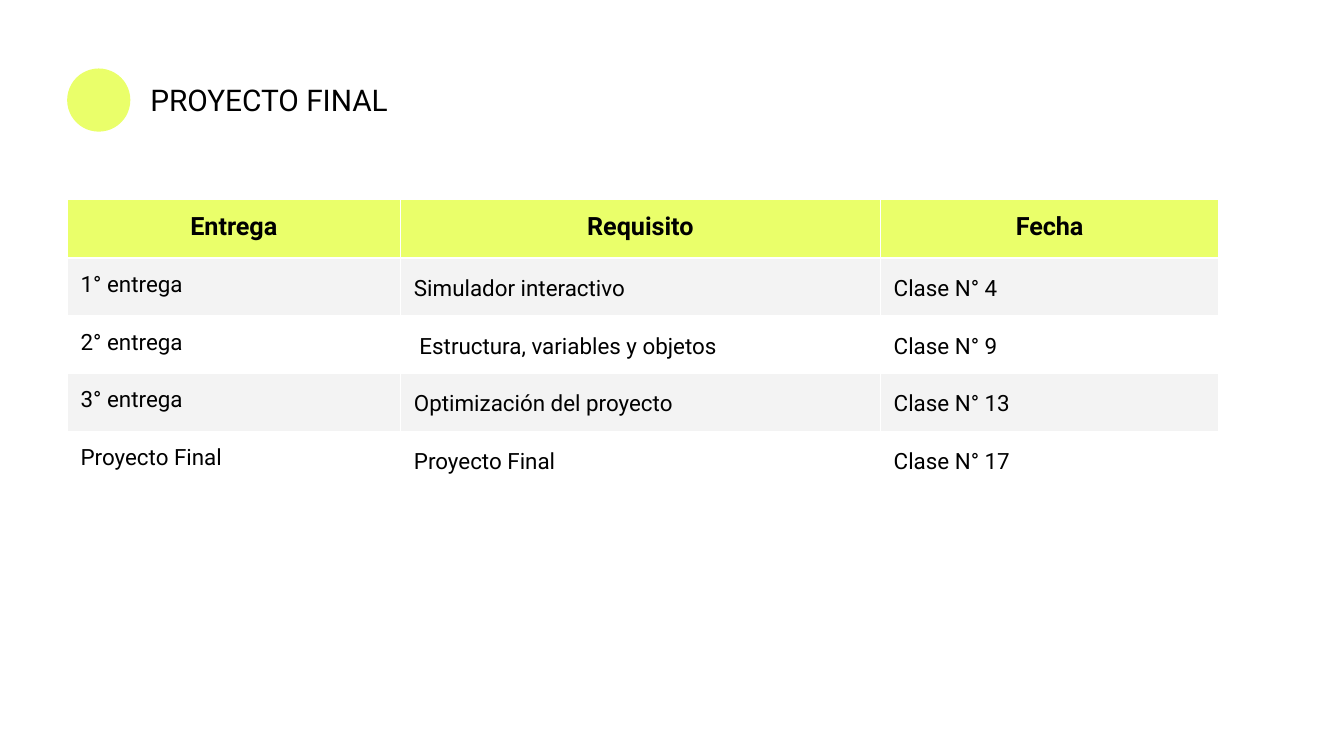
from lxml import etree
from pptx import Presentation
from pptx import util as u
from pptx.dml.color import RGBColor
from pptx.enum import shapes, text
from pptx.oxml import ns

LIME, GRAY, WHITE, BLACK = "EAFF6A", "F3F3F3", "FFFFFF", "000000"
SLIDE_WIDTH = u.Inches(10)
SLIDE_HEIGHT = SLIDE_WIDTH * 9 // 16
HEADINGS = ("Entrega", "Requisito", "Fecha")
DELIVERIES = (
    ("1° entrega", "Simulador interactivo", "Clase N° 4"),
    ("2° entrega", " Estructura, variables y objetos", "Clase N° 9"),
    ("3° entrega", "Optimización del proyecto", "Clase N° 13"),
    ("Proyecto Final", "Proyecto Final", "Clase N° 17"),
)
COLUMN_WIDTHS = (2.48, 3.57, 2.52)
ROW_HEIGHTS = (0.44, 0.42, 0.43, 0.43, 0.43)


def color(hex_value):
    return RGBColor.from_string(hex_value)


def paint(target, hex_value):
    target.fill.solid()
    target.fill.fore_color.rgb = color(hex_value)


def apply(target, values):
    for name, value in values.items():
        setattr(target, name, value)


def margins():
    return {"margin_" + side: u.Inches(0.1) for side in ("left", "top", "right", "bottom")}


def write(paragraph, wording, size, bold=False, **layout):
    run = paragraph.add_run()
    run.text = wording
    apply(run.font, {"name": "Roboto", "size": u.Pt(size), "bold": bold})
    run.font.color.rgb = color(BLACK)
    apply(paragraph, layout)


def add_title(slide, wording):
    title = slide.shapes.add_textbox(u.Inches(1.02), u.Inches(0.51), u.Inches(2.69), u.Inches(0.47))
    apply(title.text_frame, {
        **margins(),
        "word_wrap": True,
        "auto_size": text.MSO_AUTO_SIZE.SHAPE_TO_FIT_TEXT,
    })
    write(title.text_frame.paragraphs[0], wording, 16)


def add_dot(slide):
    diameter = u.Inches(0.47)
    dot = slide.shapes.add_shape(shapes.MSO_SHAPE.OVAL, u.Inches(0.5), u.Inches(0.51), diameter, diameter)
    dot.shadow.inherit = False
    paint(dot, LIME)
    dot.line.fill.background()


def add_borders(cell):
    properties = cell._tc.get_or_add_tcPr()
    for edge in ("a:lnL", "a:lnR", "a:lnT", "a:lnB"):
        border = etree.SubElement(properties, ns.qn(edge), w=str(u.Pt(0.75)))
        fill = etree.SubElement(border, ns.qn("a:solidFill"))
        etree.SubElement(fill, ns.qn("a:srgbClr"), val=WHITE)


def fill_cell(cell, wording, row, column):
    apply(cell, margins())
    add_borders(cell)
    paragraph = cell.text_frame.paragraphs[0]
    if row == 0:
        paint(cell, LIME)
        write(paragraph, wording, 13.5, bold=True, alignment=text.PP_ALIGN.CENTER)
    else:
        paint(cell, GRAY if row % 2 else WHITE)
        layout = {"line_spacing": 1.15} if column else {}
        write(paragraph, wording, 12, **layout)


def add_schedule(slide):
    rows = (HEADINGS, *DELIVERIES)
    schedule = slide.shapes.add_table(
        len(rows), len(HEADINGS), u.Inches(0.5), u.Inches(1.48),
        u.Inches(sum(COLUMN_WIDTHS)), u.Inches(sum(ROW_HEIGHTS)),
    ).table
    apply(schedule, {"first_row": False, "horz_banding": False})
    for column, width in zip(schedule.columns, COLUMN_WIDTHS):
        column.width = u.Inches(width)
    for row, height in zip(schedule.rows, ROW_HEIGHTS):
        row.height = u.Inches(height)
    for row, wordings in enumerate(rows):
        for column, wording in enumerate(wordings):
            fill_cell(schedule.cell(row, column), wording, row, column)


def main():
    deck = Presentation()
    apply(deck, {"slide_width": SLIDE_WIDTH, "slide_height": SLIDE_HEIGHT})
    slide = deck.slides.add_slide(deck.slide_layouts[6])
    paint(slide.background, WHITE)
    add_title(slide, "PROYECTO FINAL")
    add_dot(slide)
    add_schedule(slide)
    deck.save("out.pptx")


if __name__ == "__main__":
    main()
